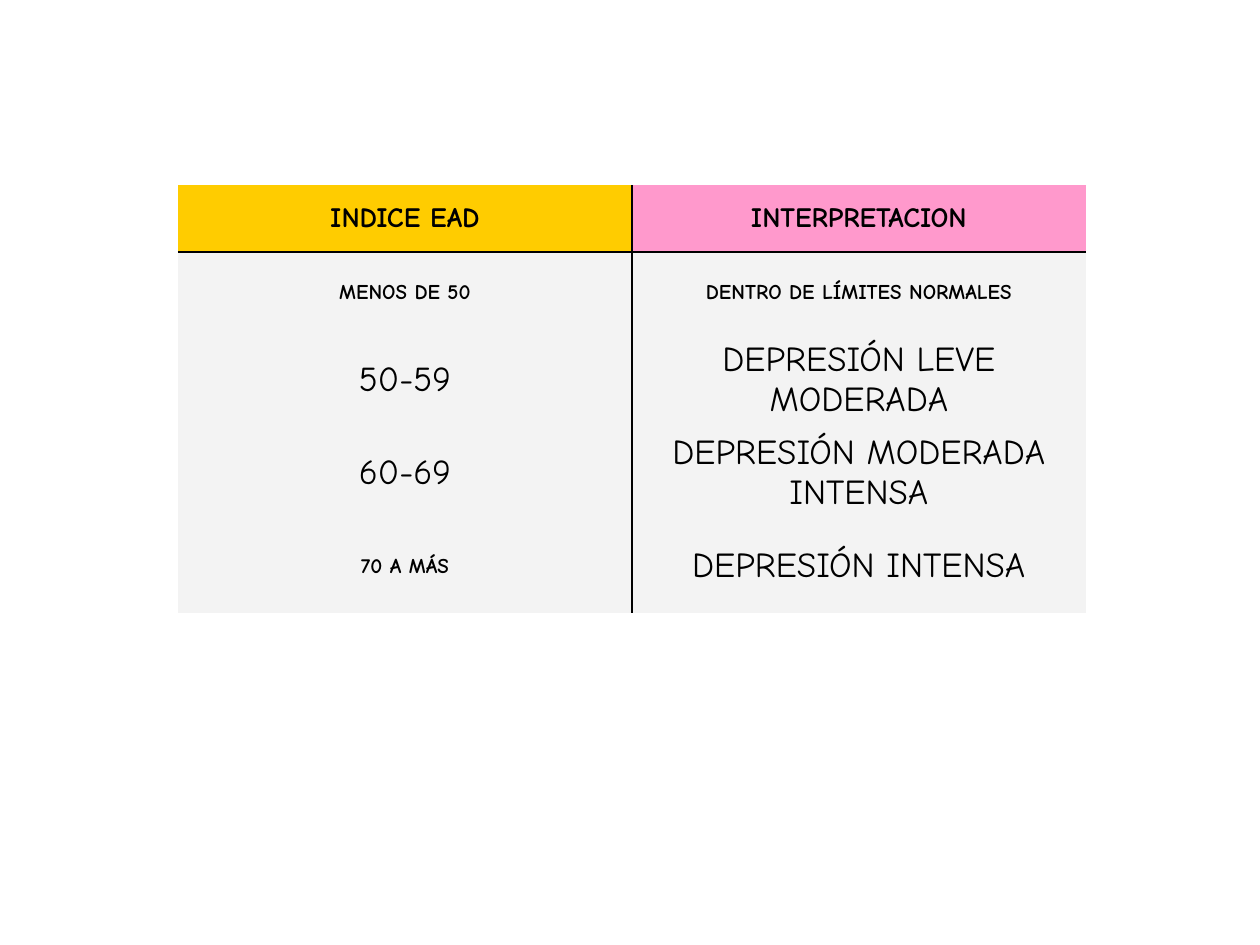
import pptx
import pptx.dml.color
import pptx.enum.text
import pptx.oxml.ns
import pptx.util
from dataclasses import dataclass
from lxml import etree

PX = 914400 // 126  # EMU in one px


@dataclass(frozen=True)
class Theme:
    font: str = "Comic Neue"
    ink: str = "000000"
    index_head: str = "FFCC00"
    meaning_head: str = "FF99CC"
    body: str = "F3F3F3"
    head_size: int = 16
    label_size: int = 12
    value_size: int = 20
    rule: float = 1.5


class Deck:
    def __init__(self, theme, width, height):
        self.theme = theme
        self.prs = pptx.Presentation()
        self.prs.slide_width, self.prs.slide_height = width * PX, height * PX
        self.s = self.prs.slides.add_slide(self.prs.slide_layouts[6])

    def table(self, x, y, widths, heights):
        frame = self.s.shapes.add_table(len(heights), len(widths), x * PX, y * PX,
                                        sum(widths) * PX, sum(heights) * PX)
        tbl = frame.table
        tbl.first_row = tbl.horz_banding = False
        for col, w in zip(tbl.columns, widths):
            col.width = w * PX
        for row, h in zip(tbl.rows, heights):
            row.height = h * PX
        return tbl

    def borders(self, cell, ruled):
        """Draw the sides named in ruled and clear the others."""
        qn = pptx.oxml.ns.qn
        tcPr = cell._tc.get_or_add_tcPr()
        for side in "LRTB":
            ln = etree.SubElement(tcPr, qn(f"a:ln{side}"))
            if side in ruled:
                ln.set("w", str(pptx.util.Pt(self.theme.rule)))
                fill = etree.SubElement(ln, qn("a:solidFill"))
                etree.SubElement(fill, qn("a:srgbClr"), val=self.theme.ink)
            else:
                etree.SubElement(ln, qn("a:noFill"))

    def cell(self, cell, text, size, bold, fill, ruled):
        rgb = pptx.dml.color.RGBColor.from_string
        self.borders(cell, ruled)
        cell.fill.solid()
        cell.fill.fore_color.rgb = rgb(fill)
        cell.margin_left = cell.margin_right = pptx.util.Inches(0.05)
        cell.margin_top = cell.margin_bottom = 0
        cell.vertical_anchor = pptx.enum.text.MSO_ANCHOR.MIDDLE
        cell.text = text
        p = cell.text_frame.paragraphs[0]
        p.alignment = pptx.enum.text.PP_ALIGN.CENTER
        p.font.name, p.font.size, p.font.bold = self.theme.font, pptx.util.Pt(size), bold
        p.font.color.rgb = rgb(self.theme.ink)


def main():
    t = Theme()
    deck = Deck(t, 1260, 945)

    # Text, size and weight of each cell
    head, label, value = (t.head_size, True), (t.label_size, True), (t.value_size, False)
    rows = [
        [("INDICE EAD", head), ("INTERPRETACION", head)],
        [("MENOS DE 50", label), ("DENTRO DE LÍMITES NORMALES", label)],
        [("50-59", value), ("DEPRESIÓN LEVE MODERADA", value)],
        [("60-69", value), ("DEPRESIÓN MODERADA INTENSA", value)],
        [("70 A MÁS", label), ("DEPRESIÓN INTENSA", value)],
    ]

    # Table with one rule under the header and one between the columns
    tbl = deck.table(178, 185, [454] * 2, [67, 82] + [93] * 3)
    for i, row in enumerate(rows):
        for j, (text, (size, bold)) in enumerate(row):
            fill = (t.index_head, t.meaning_head)[j] if i == 0 else t.body
            ruled = "RL"[j] + {0: "B", 1: "T"}.get(i, "")
            deck.cell(tbl.cell(i, j), text, size, bold, fill, ruled)

    deck.prs.save("out.pptx")


if __name__ == "__main__":
    main()
